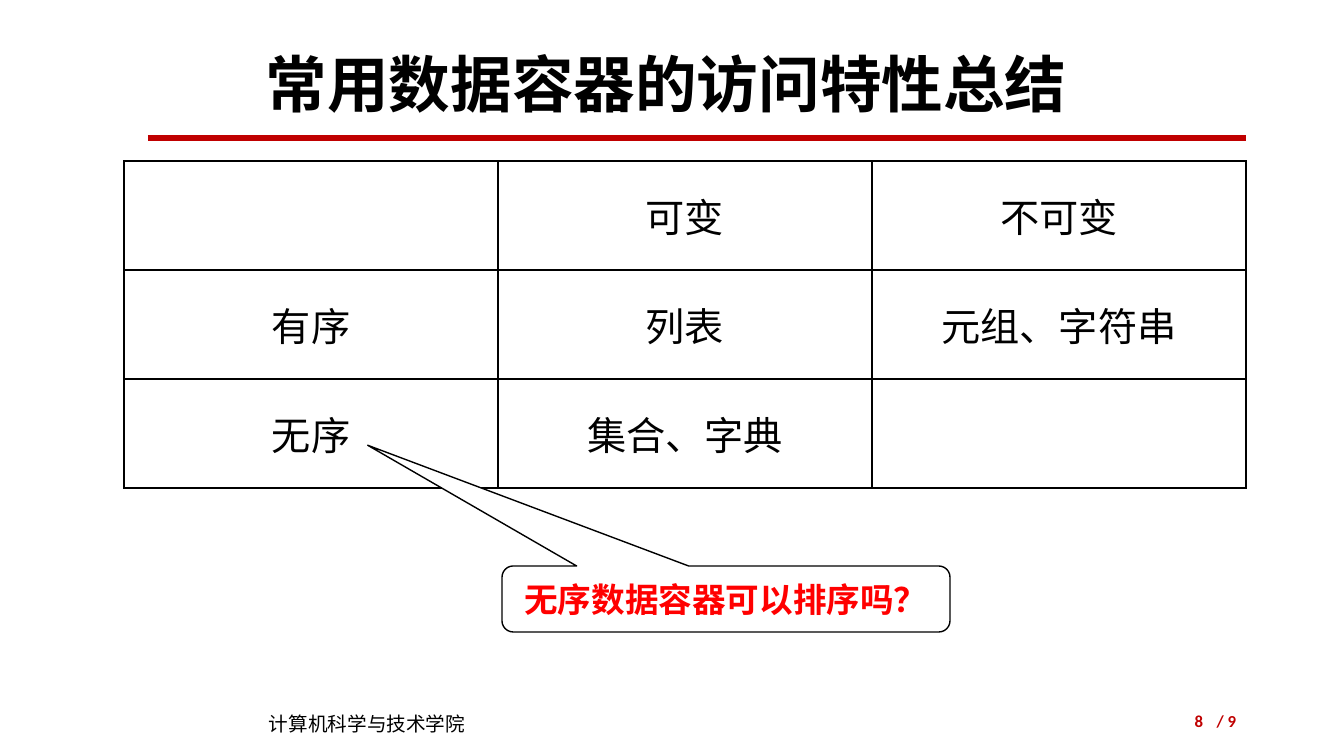
from lxml.etree import SubElement
from pptx import Presentation
from pptx.dml.color import RGBColor as Rgb
from pptx.enum.shapes import MSO_CONNECTOR as Conn, MSO_SHAPE as Shape
from pptx.enum.text import MSO_ANCHOR as Anchor, MSO_AUTO_SIZE as Auto, PP_ALIGN as Align
from pptx.oxml import parse_xml
from pptx.oxml.ns import nsdecls, qn
from pptx.util import Pt

UNIT = 914400 / 100.8
HAN = "Noto Sans CJK SC"
COLORS = {"ink": "000000", "rule": "C00000", "ask": "FF0000", "paper": "FFFFFF"}


def px(*sizes):
    """Turn whole pixels into a list of EMU lengths."""
    return [round(size * UNIT) for size in sizes]


def write(frame, text, size=28, color="ink", bold=False, align=Align.CENTER,
          font="Calibri", space=1.0):
    """Put one formatted paragraph into a text frame."""
    frame.word_wrap = True
    frame.auto_size = Auto.NONE
    frame.vertical_anchor = Anchor.MIDDLE
    para = frame.paragraphs[0]
    para.alignment = align
    para.line_spacing = space
    run = para.add_run()
    run.text = text
    run.font.size = Pt(size)
    run.font.bold = bold
    run.font.name = font
    run.font.color.rgb = Rgb.from_string(COLORS[color])
    SubElement(run.font._element, qn("a:ea"), typeface=HAN)


deck = Presentation()
deck.slide_width, deck.slide_height = px(1344, 756)
slide = deck.slides.add_slide(deck.slide_layouts[5])
shapes = slide.shapes

# Title and red rule
title = shapes.title
title.left, title.top, title.width, title.height = px(87, 40, 1159, 95)
write(title.text_frame, "常用数据容器的访问特性总结", size=44, bold=True, space=0.9)

rule = shapes.add_connector(Conn.STRAIGHT, *px(148, 138, 1246, 138))
rule.line.color.rgb = Rgb.from_string(COLORS["rule"])
rule.line.width = Pt(4.5)
SubElement(rule._element.spPr, qn("a:effectLst"))

# Table of containers by order and mutability
ROWS = [
    ["", "可变", "不可变"],
    ["有序", "列表", "元组、字符串"],
    ["无序", "集合、字典", ""],
]
table = shapes.add_table(3, 3, *px(124, 161, 1122, 327)).table
table.first_row = table.horz_banding = False
for row, words in zip(table.rows, ROWS):
    row.height = px(109)[0]
    for cell, word in zip(row.cells, words):
        cell.fill.background()
        cell.vertical_anchor = Anchor.MIDDLE
        cell.margin_left = cell.margin_right = px(14)[0]
        cell.margin_top = cell.margin_bottom = px(5)[0]
        if word:
            write(cell.text_frame, word)
        props = cell._tc.get_or_add_tcPr()
        for spot, side in enumerate("LRTB"):
            props.insert(spot, parse_xml(
                f'<a:ln{side} {nsdecls("a")} w="{Pt(1)}"><a:solidFill>'
                f'<a:srgbClr val="{COLORS["ink"]}"/></a:solidFill></a:ln{side}>'))

# Callout pointing at the unordered row
ask = shapes.add_shape(Shape.ROUNDED_RECTANGULAR_CALLOUT, *px(502, 566, 448, 66))
for spot, value in enumerate([-0.8, -2.33, 0.17]):
    ask.adjustments[spot] = value
ask.shadow.inherit = False
ask.fill.solid()
ask.fill.fore_color.rgb = Rgb.from_string(COLORS["paper"])
ask.line.color.rgb = Rgb.from_string(COLORS["ink"])
ask.line.width = Pt(1)
write(ask.text_frame, "无序数据容器可以排序吗？", size=24, color="ask", bold=True)

# Footer
page = dict(size=12, color="rule", bold=True, align=Align.RIGHT)
FOOT = [
    ("计算机科学与技术学院", (259, 707, 294, 34), dict(size=14, align=Align.LEFT, font=HAN)),
    ("8", (950, 701, 263, 40), page),
    ("/ 9", (1170, 701, 76, 40), page),
]
for text, box, style in FOOT:
    write(shapes.add_textbox(*px(*box)).text_frame, text, **style)

deck.save("out.pptx")
